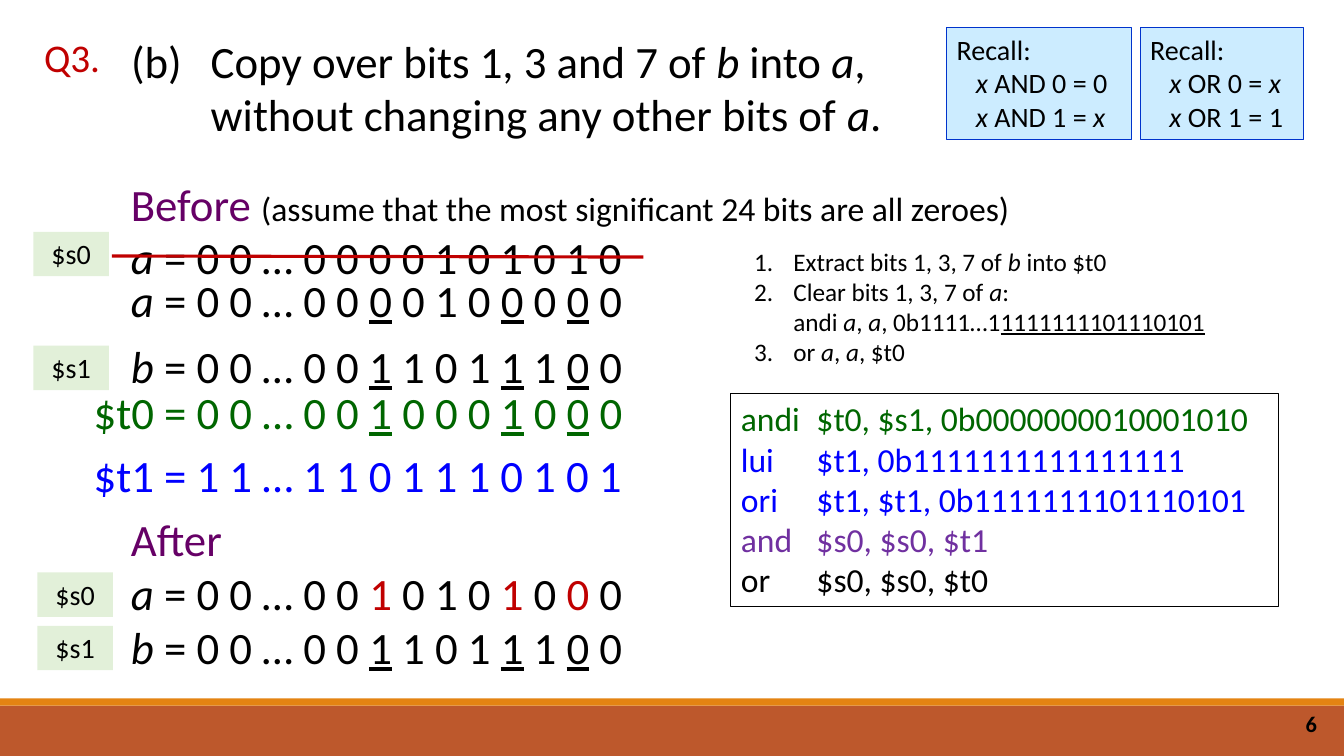
from dataclasses import dataclass

from lxml.etree import SubElement
from pptx import Presentation
from pptx.dml.color import RGBColor
from pptx.enum.shapes import MSO_CONNECTOR as Connector, MSO_SHAPE as Shape
from pptx.enum.text import MSO_ANCHOR as Anchor, MSO_AUTO_SIZE as AutoSize, PP_ALIGN as Align
from pptx.oxml.ns import qn
from pptx.util import Inches, Pt


@dataclass(frozen=True)
class Theme:
    font: str = "Calibri"
    ink: str = "000000"
    red: str = "C00000"
    heading: str = "660066"
    green: str = "006600"
    blue: str = "0000FF"
    purple: str = "7030A0"
    recall_fill: str = "CCECFF"
    recall_line: str = "0033CC"
    register_fill: str = "E2F0D9"
    band: str = "BD582C"
    band_edge: str = "E48312"
    large: int = 32
    label: int = 28
    medium: int = 24
    small: int = 20
    step: int = 18
    page: int = 16


THEME = Theme()
# Inline marks that switch a style on and off
MARKS = {"*": "italic", "_": "underline", "^": "accent"}
A_BITS = "*a* = 0 0 … 0 0 "
B_ROW = "*b* = 0 0 … 0 0 _1_ 1 0 1 _1_ 1 _0_ 0"


def rgb(colour):
    return RGBColor.from_string(colour)


def split_marks(text):
    """Yield each stretch of text with the set of styles that apply to it."""
    styles, stretch = set(), ""
    for char in text:
        if char in MARKS:
            if stretch:
                yield stretch, set(styles)
            styles ^= {MARKS[char]}
            stretch = ""
        else:
            stretch += char
    if stretch:
        yield stretch, styles


def write(paragraph, text, size, colour=THEME.ink, bold=False):
    for stretch, styles in split_marks(text):
        run = paragraph.add_run()
        run.text = stretch
        font_format = {"name": THEME.font, "size": Pt(size), "bold": bold,
                       "italic": "italic" in styles, "underline": "underline" in styles}
        for attribute, value in font_format.items():
            setattr(run.font, attribute, value)
        run.font.color.rgb = rgb(THEME.red if "accent" in styles else colour)


def set_frame(frame, anchor=Anchor.TOP):
    frame_format = {"word_wrap": True, "auto_size": AutoSize.NONE, "vertical_anchor": anchor}
    for attribute, value in frame_format.items():
        setattr(frame, attribute, value)


def add_lines(frame, lines, align=Align.LEFT):
    """Write one paragraph for each tuple of arguments to write()."""
    paragraphs = []
    for index, line in enumerate(lines):
        paragraph = frame.add_paragraph() if index else frame.paragraphs[0]
        paragraph.alignment = align
        write(paragraph, *line)
        paragraphs.append(paragraph)
    return paragraphs


def add_text(slide, box, lines, align=Align.LEFT, anchor=Anchor.TOP):
    frame = slide.shapes.add_textbox(*map(Inches, box)).text_frame
    set_frame(frame, anchor)
    return add_lines(frame, lines, align)


def add_panel(slide, box, fill=None, line=None):
    panel = slide.shapes.add_shape(Shape.RECTANGLE, *map(Inches, box))
    panel.shadow.inherit = False
    if fill:
        panel.fill.solid()
        panel.fill.fore_color.rgb = rgb(fill)
    else:
        panel.fill.background()
    if line:
        panel.line.color.rgb = rgb(line)
        panel.line.width = Pt(0.75)
    else:
        panel.line.fill.background()
    set_frame(panel.text_frame)
    return panel.text_frame


def set_hanging(paragraph, indent):
    properties = paragraph._p.get_or_add_pPr()
    properties.set("marL", str(Inches(indent)))
    properties.set("indent", str(-Inches(indent)))
    return properties


def set_tab(paragraph, position):
    tabs = SubElement(paragraph._p.get_or_add_pPr(), qn("a:tabLst"))
    SubElement(tabs, qn("a:tab"), pos=str(Inches(position)), algn="l")


def add_footer(slide, left, top, width, height):
    edge = 0.07
    add_panel(slide, (left, top + edge, width, height - edge), THEME.band)
    add_panel(slide, (left, top, width, edge), THEME.band_edge)
    add_text(slide, (left + width - 3.17, top + 0.05, 3, 0.4),
             [("6", THEME.page, THEME.ink, True)], Align.RIGHT, Anchor.MIDDLE)


def add_question(slide, left, top, width, height):
    add_text(slide, (left, top, 0.99, 0.57), [("Q3.", THEME.label, THEME.red)], Align.CENTER)
    title = slide.shapes.title
    title_box = {"left": left + 0.98, "top": top, "width": width - 0.98, "height": height}
    for attribute, value in title_box.items():
        setattr(title, attribute, Inches(value))
    set_frame(title.text_frame)
    question = ("(b) \tCopy over bits 1, 3 and 7 of *b *into *a*, "
                "without changing any other bits of *a*.")
    set_hanging(add_lines(title.text_frame, [(question, THEME.large)])[0], 0.79)


def add_recall(slide, left, top, width, height, rules):
    panel = add_panel(slide, (left, top, width, height), THEME.recall_fill, THEME.recall_line)
    lines = [(text, THEME.small) for text in ("Recall:", *("\t" + rule for rule in rules))]
    for paragraph in add_lines(panel, lines)[1:]:
        set_tab(paragraph, 0.19)


def add_register(slide, left, top, name):
    chip = add_panel(slide, (left, top, 0.75, 0.44), THEME.register_fill)
    add_lines(chip, [(name, THEME.small)], Align.CENTER)


def add_before(slide, left, top, width, height):
    heading, a_row, b_row = add_text(slide, (left, top, width, height), [
        ("Before ", THEME.large, THEME.heading),
        ("*a* = 0 0 … 0 0 0 0 1 0 1 0 1 0", THEME.large),
        (B_ROW, THEME.large),
    ])
    write(heading, "(assume that the most significant 24 bits are all zeroes)", THEME.medium)
    b_row.space_before = Pt(39)
    # Working rows between and below the given values
    add_text(slide, (left, top + 0.96, 5.61, 0.64),
             [(A_BITS + "_0_ 0 1 0 _0_ 0 _0_ 0", THEME.large)])
    working = [(2.07, "$t0 = 0 0 … 0 0 _1_ 0 0 0 _1_ 0 _0_ 0", THEME.green),
               (2.69, "$t1 = 1 1 … 1 1 0 1 1 1 0 1 0 1", THEME.blue)]
    for offset, row, colour in working:
        add_text(slide, (left - 0.37, top + offset, 5.68, 0.64), [(row, THEME.large, colour)])
    # Strike through the old value of a
    strike = slide.shapes.add_connector(
        Connector.STRAIGHT, *map(Inches, (left - 0.09, top + 0.84, left + 5.18, top + 0.85)))
    strike.line.color.rgb = rgb(THEME.red)
    strike.line.width = Pt(2.25)
    SubElement(strike._element.spPr, qn("a:effectLst"))
    for offset, name in ((0.6, "$s0"), (1.73, "$s1")):
        add_register(slide, left - 0.87, top + offset, name)


def add_after(slide, left, top, width, height):
    add_text(slide, (left, top, width, height), [
        ("After", THEME.large, THEME.heading),
        (A_BITS + "^1^ 0 1 0 ^1^ 0 ^0^ 0", THEME.large),
        (B_ROW, THEME.large),
    ])
    for offset, name in ((0.65, "$s0"), (1.18, "$s1")):
        add_register(slide, left - 0.83, top + offset, name)


def add_steps(slide, left, top, width, height):
    steps = [(1, "Extract bits 1, 3, 7 of *b* into $t0"),
             (2, "Clear bits 1, 3, 7 of *a*:"),
             (None, "\tandi *a*, *a*, 0b1111…1_1111111101110101_"),
             (3, "or *a*, *a*, $t0")]
    paragraphs = add_text(slide, (left, top, width, height),
                          [(text, THEME.step) for _, text in steps])
    for paragraph, (number, _) in zip(paragraphs, steps):
        properties = set_hanging(paragraph, 0.39)
        if number:
            SubElement(properties, qn("a:buFont"), typeface=THEME.font)
            SubElement(properties, qn("a:buAutoNum"), type="arabicPeriod", startAt=str(number))


def add_code(slide, left, top, width, height):
    code = [("andi\t$t0, $s1, 0b0000000010001010", THEME.green),
            ("lui\t$t1, 0b1111111111111111", THEME.blue),
            ("ori\t$t1, $t1, 0b1111111101110101", THEME.blue),
            ("and\t$s0, $s0, $t1", THEME.purple),
            ("or\t$s0, $s0, $t0", THEME.ink)]
    panel = add_panel(slide, (left, top, width, height), line=THEME.ink)
    for paragraph in add_lines(panel, [(text, THEME.medium, colour) for text, colour in code]):
        set_tab(paragraph, 0.75)


def main():
    deck = Presentation()
    deck.slide_width, deck.slide_height = Inches(13.33), Inches(7.5)
    slide = deck.slides.add_slide(deck.slide_layouts[5])
    add_footer(slide, 0, 6.93, 13.33, 0.57)
    add_question(slide, 0.22, 0.28, 9.74, 1.18)
    add_recall(slide, 9.39, 0.27, 1.83, 1.11, ("*x* AND 0 = 0", "*x* AND 1 = *x*"))
    add_recall(slide, 11.31, 0.27, 1.62, 1.11, ("*x* OR 0 = *x*", "*x* OR 1 = 1"))
    add_before(slide, 1.2, 1.7, 10.74, 2.26)
    add_after(slide, 1.2, 5.03, 5.59, 1.72)
    add_steps(slide, 7.38, 2.39, 5.09, 1.31)
    add_code(slide, 7.25, 3.9, 5.43, 2.12)
    deck.save("out.pptx")


if __name__ == "__main__":
    main()
